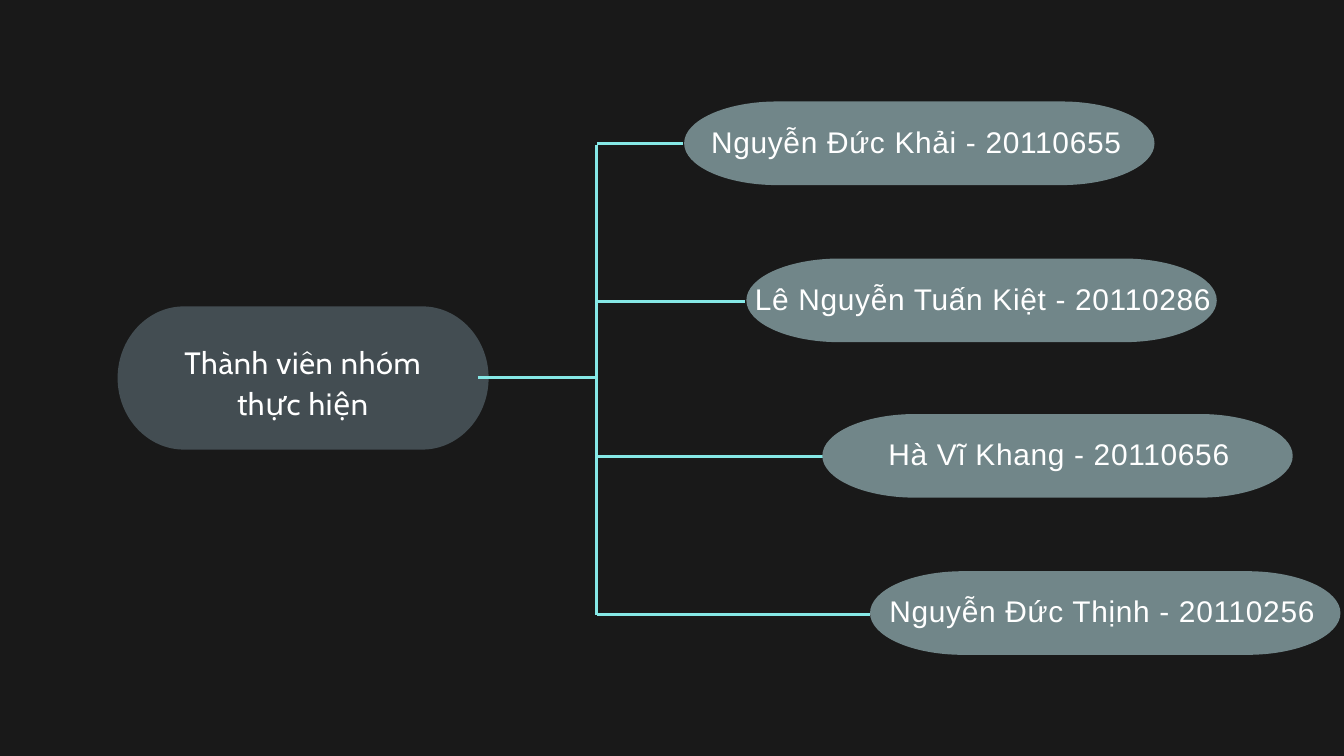
from lxml.etree import SubElement
from pptx import Presentation
from pptx.dml.color import RGBColor
from pptx.enum.shapes import MSO_CONNECTOR
from pptx.enum.text import MSO_ANCHOR, PP_ALIGN
from pptx.oxml.ns import qn
from pptx.util import Pt

BACKGROUND = RGBColor(0x19, 0x19, 0x19)
ROOT_FILL = RGBColor(0x43, 0x4D, 0x52)
MEMBER_FILL = RGBColor(0x71, 0x86, 0x89)
LINE_COLOR = RGBColor(0x85, 0xE8, 0xE6)
WHITE = RGBColor(0xFF, 0xFF, 0xFF)

TITLE_LINES = ["Thành viên nhóm", "thực hiện"]
# Text, left and top of the pill, height and right end of its branch
MEMBERS = [
    ("Nguyễn Đức Khải - 20110655 ", 733, 108.7, 153.8, 731.8),
    ("Lê Nguyễn Tuấn Kiệt - 20110286", 799.7, 277, 323.2, 798),
    ("Hà Vĩ Khang - 20110656", 881.1, 443.6, 489, 881.6),
    ("Nguyễn Đức Thịnh - 20110256 ", 932.2, 612, 658.4, 932.4),
]
MEMBER_SIZE, MEMBER_END = (504, 89.6), 99.6
ROOT_BOX, ROOT_END = (126, 328.3, 397.5, 153.4), 71
TITLE_BOX = (177.1, 365, 294.5, 84.2)
TRUNK_X, TRUNK_TOP, TRUNK_BOTTOM = 639.5, 155.5, 659
ROOT_LINE_START, ROOT_LINE_Y, LINE_WIDTH = 512, 404.8, 3.2
CURVE = 0.55  # handle length of a quarter ellipse

TITLE_FORMAT = {"name": "Cabin", "size": Pt(33), "bold": False}
MEMBER_FORMAT = {"name": "Arial", "size": Pt(32)}


def bend(segment, start, stop, corner):
    """Turn a straight outline segment into a quarter ellipse."""
    segment.tag = qn("a:cubicBezTo")
    segment.remove(segment[0])
    handles = [
        [round(p + CURVE * (c - p)) for p, c in zip(point, corner)]
        for point in (start, stop)
    ]
    for x, y in (*handles, stop):
        SubElement(segment, qn("a:pt"), x=str(x), y=str(y))


def add_pill(slide, left, top, width, height, end, color):
    """Draw a bar whose two ends are half ellipses, each `end` wide."""
    right, bottom, middle = left + width, top + height, top + height / 2
    outline = [
        (Pt(x), Pt(y))
        for x, y in (
            (right - end, bottom), (left + end, bottom), (left, middle),
            (left + end, top), (right - end, top), (right, middle),
            (right - end, bottom),
        )
    ]
    builder = slide.shapes.build_freeform(*outline[0])
    builder.add_line_segments(outline[1:], close=True)
    shape = builder.convert_to_shape()

    local = [(x - Pt(left), y - Pt(top)) for x, y in outline]
    segments = list(shape._element.iter(qn("a:lnTo")))
    for index in (1, 2, 4, 5):
        start, stop = local[index], local[index + 1]
        leaves_flat = index in (1, 4)
        corner = (stop[0], start[1]) if leaves_flat else (start[0], stop[1])
        bend(segments[index], start, stop, corner)

    shape.shadow.inherit = False
    shape.fill.solid()
    shape.fill.fore_color.rgb = color
    shape.line.fill.background()


def add_line(slide, *ends):
    line = slide.shapes.add_connector(MSO_CONNECTOR.STRAIGHT, *map(Pt, ends))
    line.line.color.rgb = LINE_COLOR
    line.line.width = Pt(LINE_WIDTH)
    SubElement(line._element.spPr, qn("a:effectLst"))


def write_lines(shape, lines, line_spacing, letter_spacing, font_format):
    frame = shape.text_frame
    frame.word_wrap = True
    frame.vertical_anchor = MSO_ANCHOR.TOP
    for side in ("left", "top", "right", "bottom"):
        setattr(frame, f"margin_{side}", 0)
    frame.text = "\n".join(lines)
    for paragraph in frame.paragraphs:
        paragraph.alignment = PP_ALIGN.CENTER
        paragraph.line_spacing = Pt(line_spacing)
        paragraph.space_before = Pt(0)
        for run in paragraph.runs:
            for name, value in font_format.items():
                setattr(run.font, name, value)
            run.font.color.rgb = WHITE
            run._r.get_or_add_rPr().set("spc", str(letter_spacing))


def main():
    presentation = Presentation()
    presentation.slide_width, presentation.slide_height = Pt(1440), Pt(810)
    slide = presentation.slides.add_slide(presentation.slide_layouts[5])
    slide.background.fill.solid()
    slide.background.fill.fore_color.rgb = BACKGROUND

    add_pill(slide, *ROOT_BOX, ROOT_END, ROOT_FILL)
    title = slide.shapes.title
    title.left, title.top, title.width, title.height = map(Pt, TITLE_BOX)
    write_lines(title, TITLE_LINES, 43.2, 66, TITLE_FORMAT)
    slide.shapes._spTree.append(title._element)  # in front of its pill

    add_line(slide, TRUNK_X, TRUNK_TOP, TRUNK_X, TRUNK_BOTTOM)
    add_line(slide, ROOT_LINE_START, ROOT_LINE_Y, TRUNK_X, ROOT_LINE_Y)

    for text, left, top, branch_y, branch_end in MEMBERS:
        add_line(slide, TRUNK_X, branch_y, branch_end, branch_y)
        add_pill(slide, left, top, *MEMBER_SIZE, MEMBER_END, MEMBER_FILL)
        label = slide.shapes.add_textbox(Pt(left + 7.2), Pt(top + 35.3), Pt(493), Pt(28))
        write_lines(label, [text], 26.5, 75, MEMBER_FORMAT)

    presentation.save("out.pptx")


if __name__ == "__main__":
    main()
